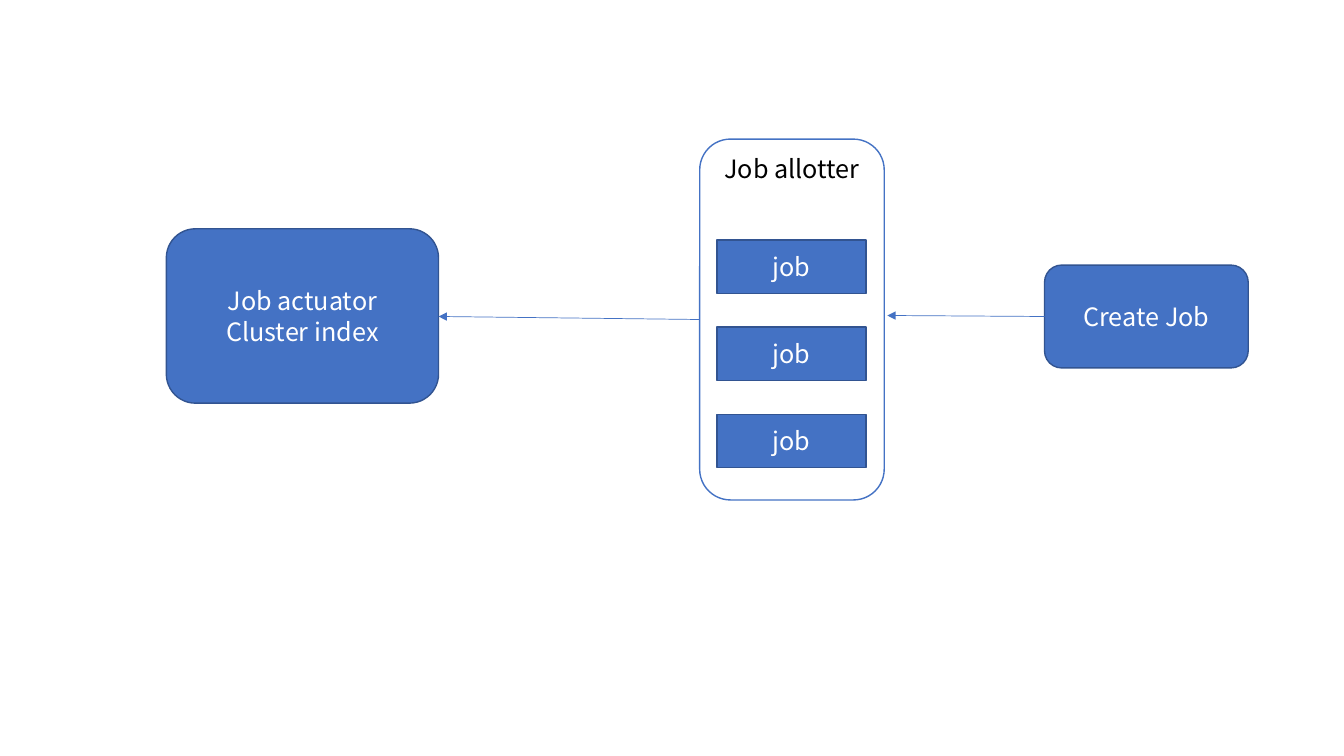
import pptx
import pptx.util
import pptx.oxml
import pptx.dml.color
import pptx.enum.shapes
import pptx.enum.text

Inches = pptx.util.Inches
Pt = pptx.util.Pt
Color = pptx.dml.color.RGBColor
Shape = pptx.enum.shapes.MSO_SHAPE
Anchor = pptx.enum.text.MSO_ANCHOR

BLUE = Color(0x44, 0x72, 0xC4)
NAVY = Color(0x32, 0x54, 0x91)
WHITE = Color(0xFF, 0xFF, 0xFF)
BLACK = Color(0, 0, 0)
FONT = "Noto Sans CJK SC"
NS = 'xmlns:a="http://schemas.openxmlformats.org/drawingml/2006/main"'


def add_box(slide, kind, place, text, fill=BLUE, edge=NAVY, ink=WHITE,
            anchor=Anchor.MIDDLE):
    box = slide.shapes.add_shape(kind, *map(Inches, place))
    box.shadow.inherit = False
    box.fill.solid()
    box.fill.fore_color.rgb = fill
    box.line.color.rgb = edge
    box.line.width = Pt(1)
    frame = box.text_frame
    frame.word_wrap = True
    frame.vertical_anchor = anchor
    frame.text = text
    for para in frame.paragraphs:
        para.alignment = pptx.enum.text.PP_ALIGN.CENTER
        para.line_spacing = Pt(21.5)
        for run in para.runs:
            run.font.name = FONT
            run.font.size = Pt(18)
            run.font.color.rgb = ink


def add_arrow(slide, start, end):
    arrow = slide.shapes.add_connector(
        pptx.enum.shapes.MSO_CONNECTOR.STRAIGHT, *map(Inches, start + end))
    arrow.line.color.rgb = BLUE
    arrow.line.width = Pt(0.5)
    # Arrowhead at the end, no shadow
    arrow.line._get_or_add_ln().append(
        pptx.oxml.parse_xml(f'<a:tailEnd {NS} type="triangle"/>'))
    arrow._element.spPr.append(pptx.oxml.parse_xml(f"<a:effectLst {NS}/>"))


def main():
    deck = pptx.Presentation()
    deck.slide_width = Inches(13.33)
    deck.slide_height = Inches(7.5)
    slide = deck.slides.add_slide(deck.slide_layouts[6])
    round_box = Shape.ROUNDED_RECTANGLE

    # Allotter with its queue of jobs
    add_box(slide, round_box, (6.94, 1.38, 1.83, 3.58), "Job allotter",
            WHITE, BLUE, BLACK, Anchor.TOP)
    for row in range(3):
        add_box(slide, Shape.RECTANGLE,
                (7.11, 2.38 + row * 0.865, 1.48, 0.53), "job")

    # Actuator and creator
    add_box(slide, round_box, (1.65, 2.27, 2.7, 1.73),
            "Job actuator\nCluster index")
    add_box(slide, round_box, (10.36, 2.63, 2.02, 1.02), "Create Job")

    # Flow from right to left
    add_arrow(slide, (6.94, 3.17), (4.35, 3.14))
    add_arrow(slide, (10.36, 3.14), (8.8, 3.13))

    deck.save("out.pptx")


main()
